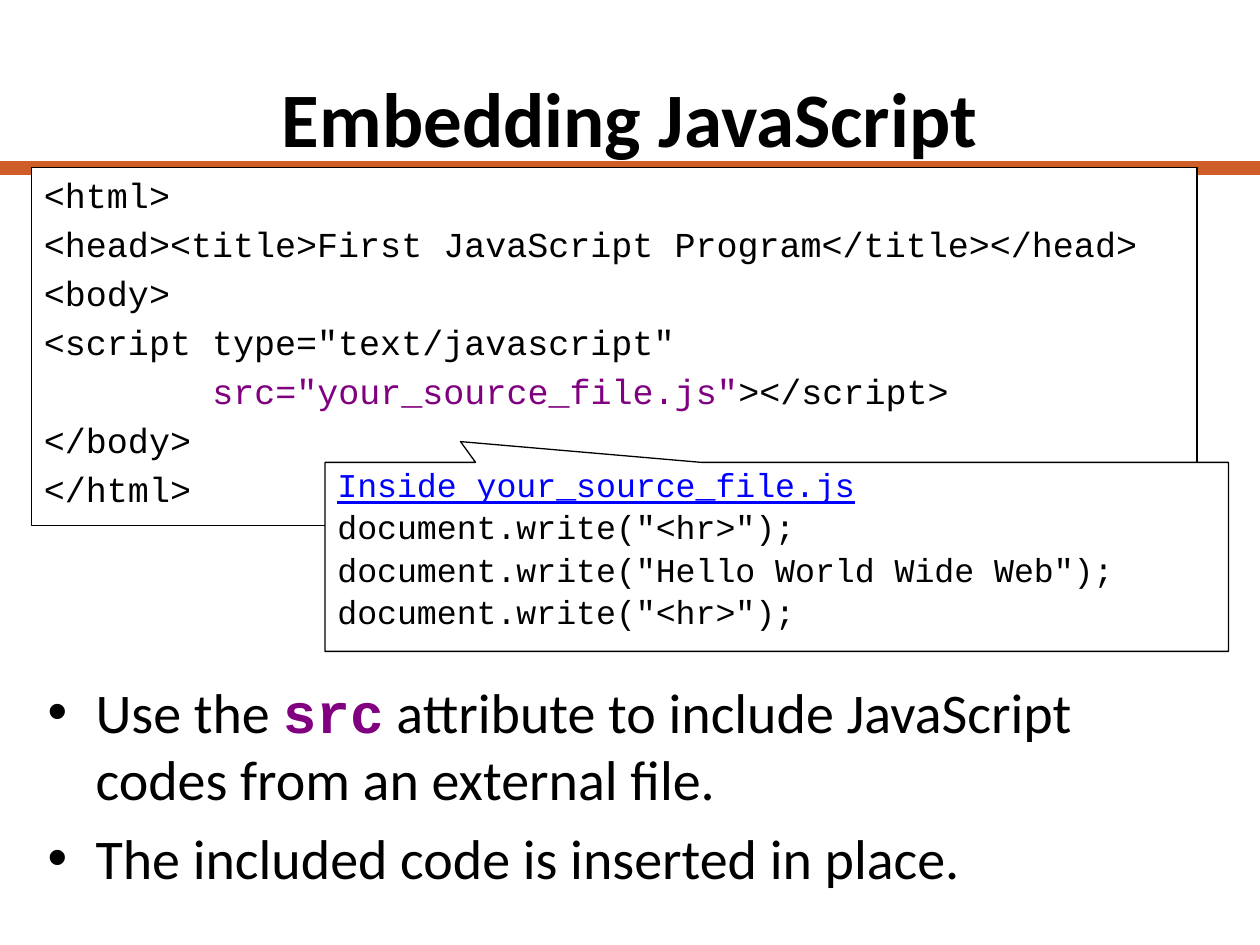
from dataclasses import dataclass

from lxml import etree
from pptx import Presentation
from pptx import util as u
from pptx.dml.color import RGBColor
from pptx.enum import shapes, text
from pptx.oxml import ns

BLACK, WHITE, PURPLE, BLUE, ORANGE = "000000", "FFFFFF", "800080", "0000FF", "CE5D28"
SANS, MONO = "Calibri", "Courier New"
SPACE_BEFORE_RATIO = 0.2


@dataclass(frozen=True)
class Span:
    content: str
    color: str = BLACK
    font: str = MONO
    bold: bool = False
    underline: bool = False


@dataclass(frozen=True)
class Box:
    left: float
    top: float
    width: float
    height: float


@dataclass(frozen=True)
class TextStyle:
    size: float
    line_spacing: float = 1.0
    bulleted: bool = False


def rgb(color: str) -> RGBColor:
    return RGBColor.from_string(color)


def place(box: Box) -> tuple:
    return tuple(u.Inches(n) for n in (box.left, box.top, box.width, box.height))


def format_run(run, span: Span, size: float) -> None:
    run.font.name = span.font
    run.font.size = u.Pt(size)
    run.font.bold = span.bold
    run.font.underline = span.underline
    run.font.color.rgb = rgb(span.color)


def add_bullet(paragraph) -> None:
    properties = paragraph._p.get_or_add_pPr()
    indent = u.Inches(0.38)
    properties.set("marL", str(indent))
    properties.set("indent", str(-indent))
    font = etree.SubElement(properties, ns.qn("a:buFont"))
    font.set("typeface", "Arial")
    bullet = etree.SubElement(properties, ns.qn("a:buChar"))
    bullet.set("char", "•")


def write_text(shape, lines: list[list[Span]], style: TextStyle) -> None:
    frame = shape.text_frame
    frame.word_wrap = True
    frame.vertical_anchor = text.MSO_ANCHOR.TOP
    frame.margin_top = u.Inches(0.05)
    for index, spans in enumerate(lines):
        paragraph = frame.add_paragraph() if index else frame.paragraphs[0]
        paragraph.alignment = text.PP_ALIGN.LEFT
        paragraph.line_spacing = style.line_spacing
        paragraph.space_before = u.Pt(style.size * SPACE_BEFORE_RATIO if index else 0)
        if style.bulleted:
            add_bullet(paragraph)
        for span in spans:
            run = paragraph.add_run()
            run.text = span.content
            format_run(run, span, style.size)


def add_panel(slide, kind, box: Box, lines: list[list[Span]], style: TextStyle):
    panel = slide.shapes.add_shape(kind, *place(box))
    panel.shadow.inherit = False
    panel.fill.solid()
    panel.fill.fore_color.rgb = rgb(WHITE)
    panel.line.color.rgb = rgb(BLACK)
    panel.line.width = u.Pt(0.75)
    write_text(panel, lines, style)
    return panel


def add_title(slide, content: str) -> None:
    title = slide.shapes.title
    title.left, title.top, title.width, title.height = place(Box(0.5, 0.58, 9, 0.7))
    frame = title.text_frame
    frame.text = content
    frame.word_wrap = True
    frame.auto_size = text.MSO_AUTO_SIZE.NONE
    frame.vertical_anchor = text.MSO_ANCHOR.MIDDLE
    paragraph = frame.paragraphs[0]
    paragraph.alignment = text.PP_ALIGN.CENTER
    format_run(paragraph.runs[0], Span(content, font=SANS, bold=True), 44)


def add_rule_behind_title(slide) -> None:
    height = u.Inches(1.33)
    rule = slide.shapes.add_connector(
        shapes.MSO_CONNECTOR.STRAIGHT, 0, height, u.Inches(10), height
    )
    rule.line.color.rgb = rgb(ORANGE)
    rule.line.width = u.Pt(8)
    etree.SubElement(rule._element.spPr, ns.qn("a:effectLst"))
    slide.shapes.title._element.addprevious(rule._element)


def main() -> None:
    presentation = Presentation()
    presentation.slide_width = u.Inches(10)
    presentation.slide_height = u.Inches(7.5)
    slide = presentation.slides.add_slide(presentation.slide_layouts[5])

    add_title(slide, "Embedding JavaScript")
    add_rule_behind_title(slide)

    bullets = slide.shapes.add_textbox(*place(Box(0.28, 5.33, 9.25, 1.67)))
    bullet_lines = [
        [
            Span("Use the ", font=SANS),
            Span("src", PURPLE, bold=True),
            Span(" attribute to include JavaScript codes from an external file.", font=SANS),
        ],
        [Span("The included code is inserted in place.", font=SANS)],
    ]
    write_text(bullets, bullet_lines, TextStyle(32, bulleted=True))

    html_lines = [
        [Span("<html>")],
        [Span("<head><title>First JavaScript Program</title></head>")],
        [Span("<body>")],
        [Span('<script type="text/javascript"')],
        [Span("        "), Span('src="your_source_file.js"', PURPLE), Span("></script>")],
        [Span("</body>")],
        [Span("</html>")],
    ]
    add_panel(
        slide,
        shapes.MSO_SHAPE.RECTANGLE,
        Box(0.25, 1.33, 9.25, 2.84),
        html_lines,
        TextStyle(20),
    )

    write_rule = [Span('document.write("<hr>");')]
    source_lines = [
        [Span("Inside your_source_file.js", BLUE, underline=True)],
        write_rule,
        [Span('document.write("Hello World Wide Web");')],
        write_rule,
    ]
    callout = add_panel(
        slide,
        shapes.MSO_SHAPE.RECTANGULAR_CALLOUT,
        Box(2.58, 3.67, 7.17, 1.5),
        source_lines,
        TextStyle(19, line_spacing=0.9),
    )
    callout.adjustments[0] = -0.35
    callout.adjustments[1] = -0.61

    presentation.save("out.pptx")


if __name__ == "__main__":
    main()
